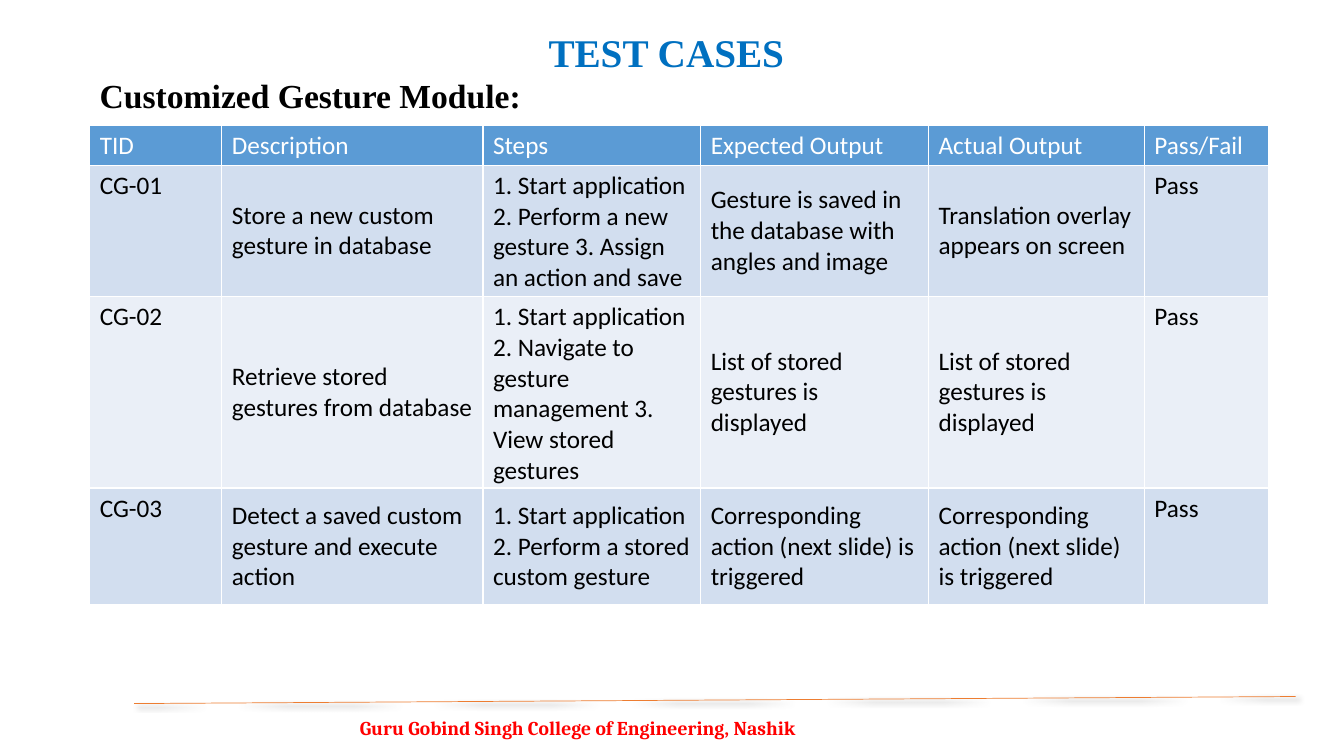
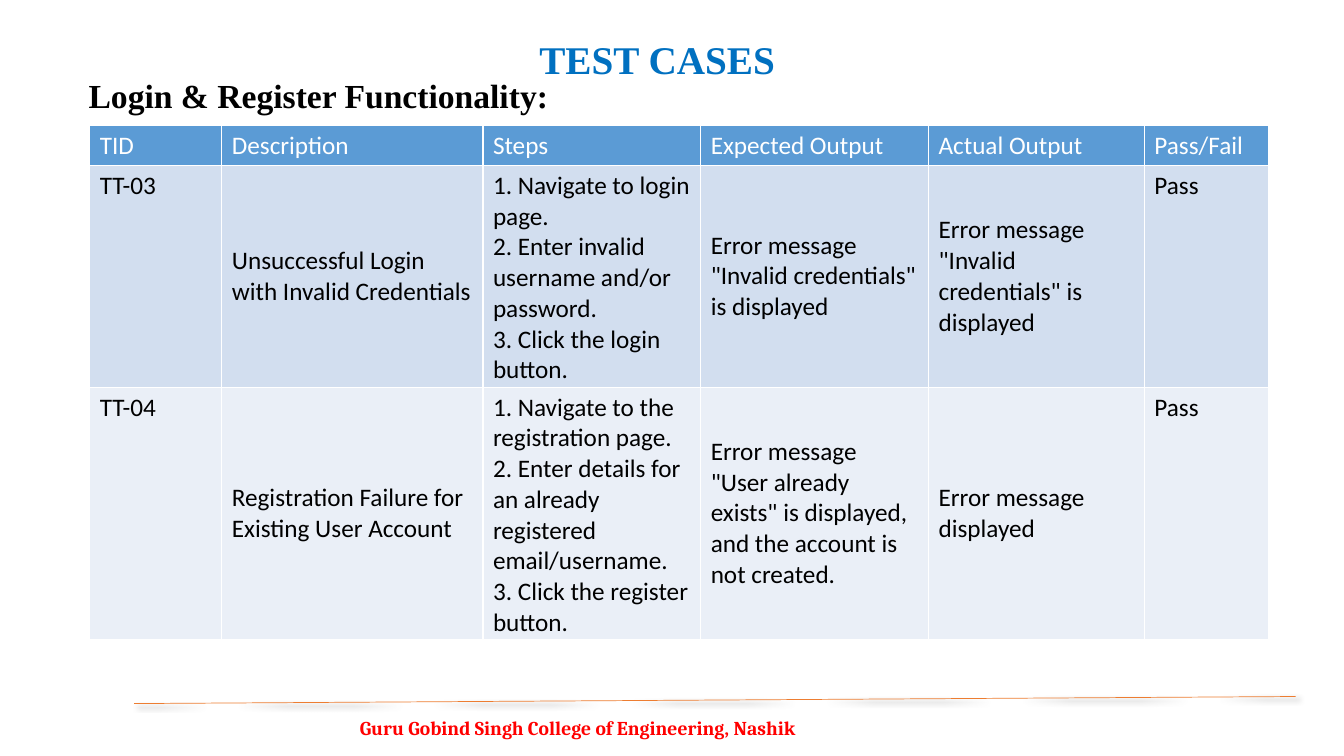
from lxml.etree import SubElement
from pptx import Presentation
from pptx.dml.color import RGBColor
from pptx.enum.shapes import MSO_CONNECTOR
from pptx.enum.text import MSO_ANCHOR, MSO_AUTO_SIZE, PP_ALIGN
from pptx.oxml import parse_xml
from pptx.oxml.ns import nsdecls
from pptx.util import Inches, Pt

BLUE, BLACK, WHITE, RED, ORANGE = "0070C0", "000000", "FFFFFF", "FF0000", "ED7D31"
HEADER_FILL = "5B9BD5"
BAND_FILLS = ["D2DEEF", "EAEFF7"]
HEADINGS = ["TID", "Description", "Steps", "Expected Output", "Actual Output", "Pass/Fail"]
COLUMN_WIDTHS = [1.31, 2.59, 2.16, 2.26, 2.14, 1.23]
HEADER_HEIGHT = 0.39
COLLEGE = "Guru Gobind Singh College of Engineering, Nashik"
LINE_SHADOW = (
    f'<a:effectLst {nsdecls("a")}>'
    '<a:outerShdw blurRad="50800" dist="38100" dir="2700000" algn="tl" rotWithShape="0">'
    '<a:srgbClr val="000000"><a:alpha val="40000"/></a:srgbClr>'
    '</a:outerShdw></a:effectLst>'
)


def color(hex_value):
    return RGBColor.from_string(hex_value)


class TestCaseDeck:
    def __init__(self):
        self.deck = Presentation()
        self.deck.slide_width = Inches(13.33)
        self.deck.slide_height = Inches(7.5)
        self.page = None

    def add_page(self):
        self.page = self.deck.slides.add_slide(self.deck.slide_layouts[5])
        self.add_footer()

    def format_text(self, frame, size, font_name, hex_value, bold=False):
        for paragraph in frame.paragraphs:
            paragraph.alignment = PP_ALIGN.LEFT
            for span in paragraph.runs:
                span.font.size = Pt(size)
                span.font.name = font_name
                span.font.bold = bold
                span.font.color.rgb = color(hex_value)

    def add_title(self, text, left, top):
        title = self.page.shapes.title
        title.left, title.top = Inches(left), Inches(top)
        title.width, title.height = Inches(5.01), Inches(0.57)
        frame = title.text_frame
        frame.text = text
        frame.auto_size = MSO_AUTO_SIZE.NONE
        frame.vertical_anchor = MSO_ANCHOR.TOP
        self.format_text(frame, 28, "Times New Roman", BLUE, bold=True)

    def add_text(self, text, left, top, width, height, size, font_name, hex_value):
        box = self.page.shapes.add_textbox(
            Inches(left), Inches(top), Inches(width), Inches(height))
        frame = box.text_frame
        frame.word_wrap = True
        frame.text = text
        self.format_text(frame, size, font_name, hex_value, bold=True)
        return frame

    def add_subtitle(self, text, left):
        self.add_text(text, left, 0.69, 10.09, 0.5, 24, "Times New Roman", BLACK)

    def add_footer(self):
        frame = self.add_text(COLLEGE, 3.47, 7.08, 5.83, 0.42, 14, "Cambria", RED)
        frame.paragraphs[0].line_spacing = 0.9
        rule = self.page.shapes.add_connector(
            MSO_CONNECTOR.STRAIGHT,
            Inches(1.33), Inches(6.98), Inches(12.85), Inches(6.91))
        rule.line.color.rgb = color(ORANGE)
        rule.line.width = Pt(0.5)
        rule._element.spPr.append(parse_xml(LINE_SHADOW))

    def set_cell(self, cell, text, fill, text_color, anchor):
        cell.text_frame.text = text
        cell.vertical_anchor = anchor
        cell.fill.solid()
        cell.fill.fore_color.rgb = color(fill)
        self.format_text(cell.text_frame, 18, "Calibri", text_color)
        properties = cell._tc.get_or_add_tcPr()
        for index, side in enumerate(["lnL", "lnR", "lnT", "lnB"]):
            border = parse_xml(f'<a:{side} {nsdecls("a")} w="12700"/>')
            solid = SubElement(border, border.tag.replace(side, "solidFill"))
            SubElement(solid, border.tag.replace(side, "srgbClr"), val=WHITE)
            properties.insert(index, border)

    def add_test_table(self, cases, case_heights):
        heights = [HEADER_HEIGHT, *case_heights]
        table = self.page.shapes.add_table(
            len(heights), len(HEADINGS), Inches(0.89), Inches(1.24),
            Inches(sum(COLUMN_WIDTHS)), Inches(sum(heights))).table
        for column, width in zip(table.columns, COLUMN_WIDTHS):
            column.width = Inches(width)
        for row, height in zip(table.rows, heights):
            row.height = Inches(height)
        for cell, heading in zip(table.rows[0].cells, HEADINGS):
            self.set_cell(cell, heading, HEADER_FILL, WHITE, MSO_ANCHOR.TOP)
        for number, case in enumerate(cases):
            fill = BAND_FILLS[number % 2]
            values = [*case, "Pass"]
            for column, value in enumerate(values):
                outer = column in (0, len(values) - 1)
                anchor = MSO_ANCHOR.TOP if outer else MSO_ANCHOR.MIDDLE
                self.set_cell(table.cell(number + 1, column), value, fill, BLACK, anchor)


def main():
    deck = TestCaseDeck()

    deck.add_page()
    deck.add_title("TEST CASES", 5.34, 0.23)
    deck.add_subtitle("Customized Gesture Module:", 0.89)
    deck.add_test_table([
        ["CG-01", "Store a new custom gesture in database",
         "1. Start application 2. Perform a new gesture 3. Assign an action and save",
         "Gesture is saved in the database with angles and image",
         "Translation overlay appears on screen"],
        ["CG-02", "Retrieve stored gestures from database",
         "1. Start application 2. Navigate to gesture management 3. View stored gestures",
         "List of stored gestures is displayed",
         "List of stored gestures is displayed"],
        ["CG-03", "Detect a saved custom gesture and execute action",
         "1. Start application 2. Perform a stored custom gesture",
         "Corresponding action (next slide) is triggered",
         "Corresponding action (next slide) is triggered"],
    ], [1.3, 1.9, 1.16])

    deck.add_page()
    deck.add_title("TEST CASES", 5.25, 0.3)
    deck.add_subtitle("Login & Register Functionality:", 0.78)
    deck.add_test_table([
        ["TT-03", "Unsuccessful Login with Invalid Credentials",
         "1. Navigate to login page.\n2. Enter invalid username and/or password.\n"
         "3. Click the login button.",
         'Error message "Invalid credentials" is displayed',
         'Error message "Invalid credentials" is displayed'],
        ["TT-04", "Registration Failure for Existing User Account",
         "1. Navigate to the registration page.\n"
         "2. Enter details for an already registered email/username.\n"
         "3. Click the register button.",
         'Error message "User already exists" is displayed, and the account is not created.',
         "Error message displayed"],
    ], [2.2, 2.5])

    deck.deck.save("out.pptx")


if __name__ == "__main__":
    main()
